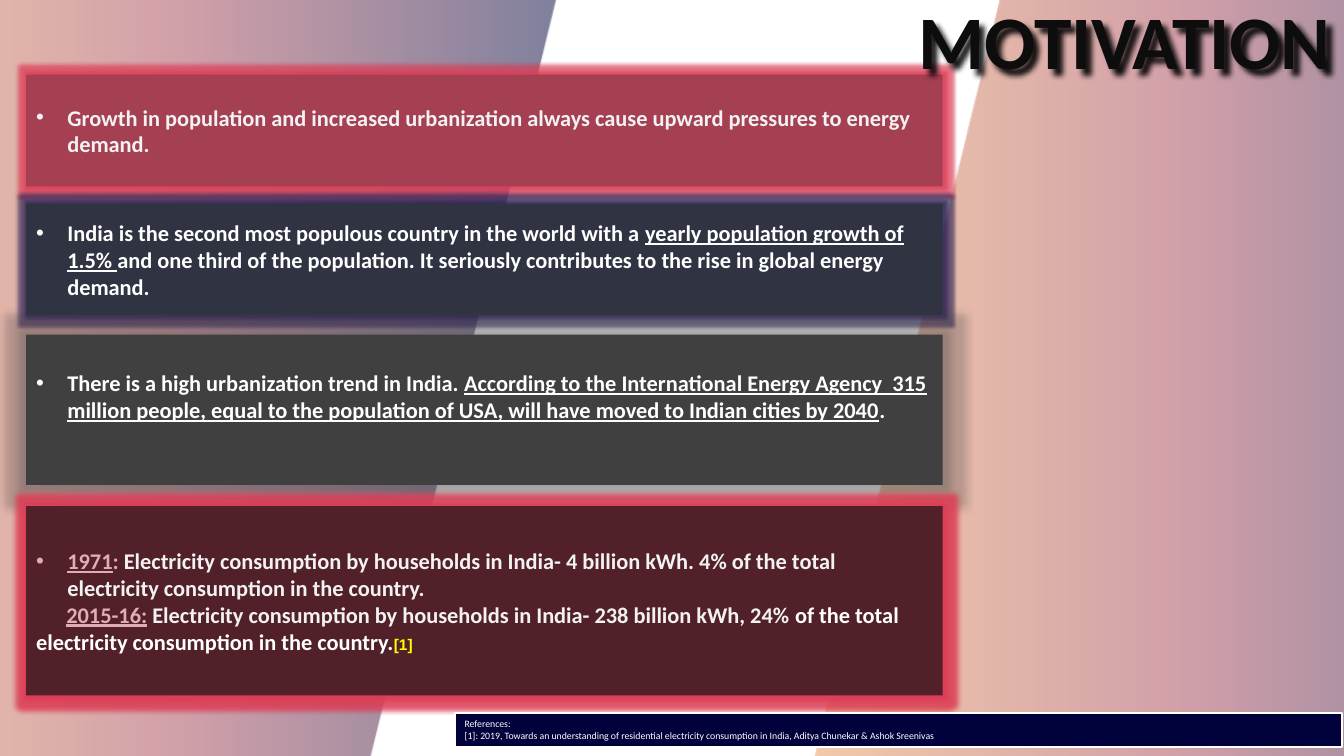
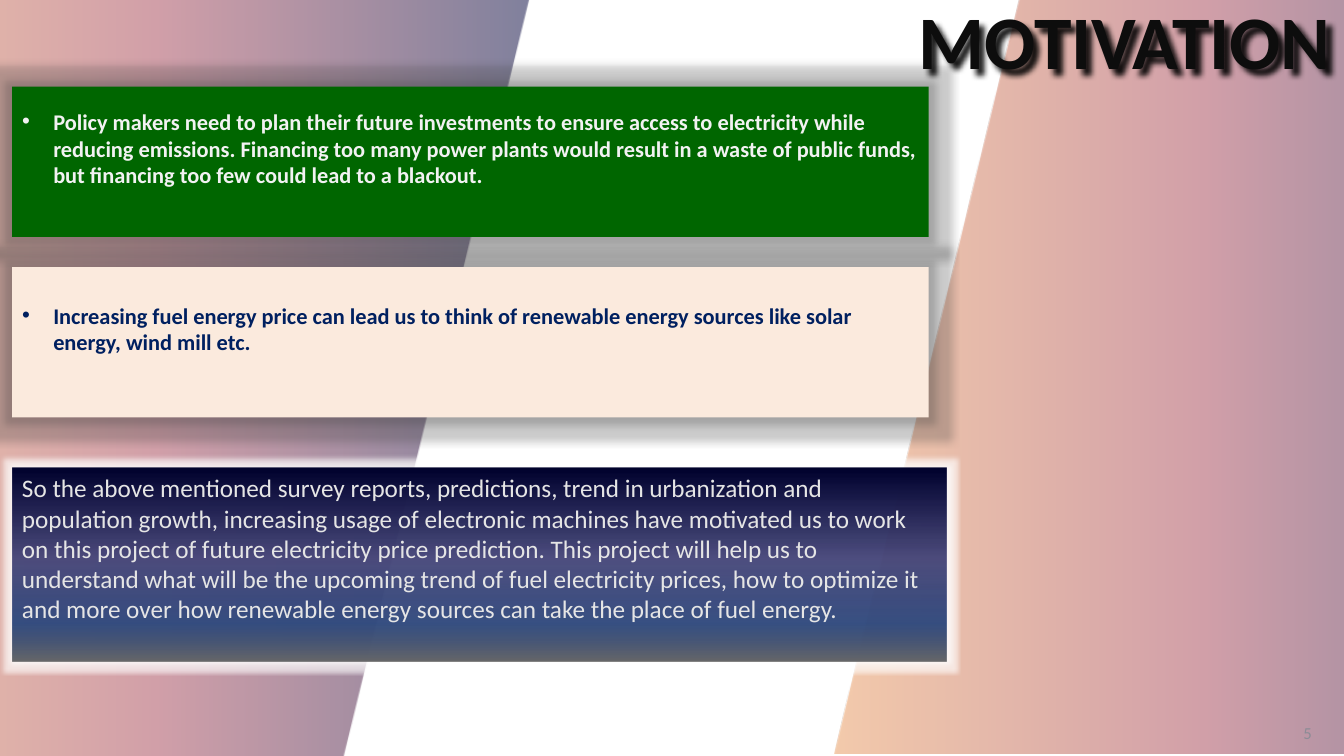
from lxml import etree
from pptx import Presentation
from pptx.dml.color import RGBColor
from pptx.enum.shapes import MSO_SHAPE
from pptx.enum.text import MSO_ANCHOR, MSO_AUTO_SIZE, PP_ALIGN
from pptx.oxml.ns import qn
from pptx.util import Inches, Pt

RECTANGLE, PARALLELOGRAM = MSO_SHAPE.RECTANGLE, MSO_SHAPE.PARALLELOGRAM
TOP, MIDDLE = MSO_ANCHOR.TOP, MSO_ANCHOR.MIDDLE
LEFT, CENTER = PP_ALIGN.LEFT, PP_ALIGN.CENTER
FIXED_SIZE = MSO_AUTO_SIZE.NONE

COLORS = {
    "white": "FFFFFF", "soft white": "F2F2F2", "pale gray": "E5E5E5",
    "black": "000000", "ink": "0D0D0D", "charcoal": "404040", "gray": "696969",
    "number": "8C8C96", "navy": "01023B", "midnight": "01022D", "indigo": "010248",
    "blue": "002060", "slate": "2F3342", "purple": "2C2153", "crimson": "A53F52",
    "wine": "522029", "rose": "E0ADB7", "orange": "E99757", "yellow": "FFFF00",
    "green": "006600", "cream": "FBEADD", "red glow": "DC3C55",
}

# Gradient stops: position, colour, opacity (percent)
BAND_STOPS = [(0, "navy", 50), (50, "crimson", 50), (100, "orange", 50)]
SUMMARY_STOPS = [(0, "midnight", 100), (47, "indigo", 69), (80, "blue", 78), (100, "gray", 100)]
BAND_SIZE = (7.38, 7.53)

# Glows: colour, radius in points, opacity
RED_GLOW = ("red glow", 5, 70)
STRONG_RED_GLOW = ("red glow", 7, 85)
PURPLE_GLOW = ("purple", 5, 65)
GRAY_GLOW = ("charcoal", 11, 27)
WHITE_GLOW = ("white", 5, 65)

TITLE = "MOTIVATION"
UNDERLINE = {"underline": True}
YEAR = {"color": "rose", "underline": True}
SOFT = {"color": "soft white"}
BULLET = {"left": 0.31, "first": -0.31, "bullet": True}
LINE_BELOW = 0.32  # bottom inset that lifts the text by half a line

SLIDES = [
    {
        "bands": [(-1.86, -0.03), (8.08, -0.01)],
        "cards": [
            {"at": (0.26, 0.74, 9.09, 1.11), "fill": "crimson", "glow": RED_GLOW,
             "color": "soft white", "paragraphs": [(BULLET, [
                 ("Growth in population and increased urbanization always cause "
                  "upward pressures to energy demand.", {})])]},
            {"at": (0.26, 2.02, 9.09, 1.11), "fill": "slate", "glow": PURPLE_GLOW,
             "paragraphs": [(BULLET, [
                 ("India is the second most populous country in the world with a ", {}),
                 ("yearly population growth of 1.5% ", UNDERLINE),
                 ("and one third of the population. It seriously contributes to the "
                  "rise in global energy demand.", {})])]},
            {"at": (0.26, 3.32, 9.09, 1.49), "fill": "charcoal", "glow": GRAY_GLOW,
             "bottom": LINE_BELOW, "paragraphs": [(BULLET, [
                 ("There is a high urbanization trend in India. ", {}),
                 ("According to the International Energy Agency  315 million people, "
                  "equal to the population of USA, will have moved to Indian cities "
                  "by 2040", UNDERLINE),
                 (".", {})])]},
            {"at": (0.26, 5.02, 9.09, 1.88), "fill": "wine", "glow": STRONG_RED_GLOW,
             "paragraphs": [
                 (BULLET, [
                     ("1971", YEAR), (":", {"color": "rose"}),
                     (" Electricity consumption by households in India- 4 billion kWh. "
                      "4% of the total electricity consumption in the country.", SOFT)]),
                 ({"first": 0.3}, [
                     ("2015-16:", YEAR),
                     (" Electricity consumption by households in India- 238 billion "
                      "kWh, 24% ", SOFT),
                     ("of the total electricity consumption in the country.", {}),
                     ("[1]", {"size": 11, "font": "Arial", "color": "yellow"})])]},
        ],
        "references": [
            "References:",
            "[1]: 2019, Towards an understanding of residential electricity consumption "
            "in India, Aditya Chunekar & Ashok Sreenivas",
        ],
    },
    {
        "bands": [(-2.13, -0.03), (8.28, -0.05)],
        "cards": [
            {"at": (0.12, 4.64, 9.27, 1.92), "stops": SUMMARY_STOPS, "glow": WHITE_GLOW,
             "color": "pale gray", "size": 18, "bold": False, "anchor": TOP,
             "paragraphs": [({}, [
                 ("So the above mentioned survey reports, predictions, trend in "
                  "urbanization and population growth, increasing usage of electronic "
                  "machines have motivated us to work on this project of future "
                  "electricity price prediction. This project will help us to understand "
                  "what will be the upcoming trend of fuel electricity prices, how to "
                  "optimize it and more over how renewable energy sources can take the "
                  "place of fuel energy.", {})])]},
            {"at": (0.12, 0.86, 9.09, 1.49), "fill": "green", "glow": GRAY_GLOW,
             "color": "soft white", "bottom": LINE_BELOW, "paragraphs": [(BULLET, [
                 ("Policy makers need to plan their future investments to ensure access "
                  "to electricity while reducing emissions. Financing too many power "
                  "plants would result in a waste of public funds, but financing too few "
                  "could lead to a blackout.", {})])]},
            {"at": (0.12, 2.65, 9.09, 1.49), "fill": "cream", "glow": GRAY_GLOW,
             "color": "blue", "bottom": LINE_BELOW, "paragraphs": [(BULLET, [
                 ("Increasing fuel energy price can lead us to think of renewable energy "
                  "sources like solar energy, wind mill etc.", {})])]},
        ],
        "number": "5",
    },
]


def rgb(name):
    return RGBColor.from_string(COLORS[name])


def inches(values):
    return [Inches(value) for value in values]


def add_xml(parent, tag, **attributes):
    element = etree.SubElement(parent, qn(tag))
    for name, value in attributes.items():
        element.set(name, str(value))
    return element


def add_color(parent, name, opacity=100):
    color = add_xml(parent, "a:srgbClr", val=COLORS[name])
    if opacity < 100:
        add_xml(color, "a:alpha", val=opacity * 1000)


def set_gradient(shape, stops, angle):
    shape.fill.background()
    properties = shape._element.spPr
    empty_fill = properties.find(qn("a:noFill"))
    gradient = etree.Element(qn("a:gradFill"), rotWithShape="1")
    stop_list = add_xml(gradient, "a:gsLst")
    for position, color, opacity in stops:
        add_color(add_xml(stop_list, "a:gs", pos=position * 1000), color, opacity)
    add_xml(gradient, "a:lin", ang=angle * 60000, scaled=0)
    properties.replace(empty_fill, gradient)


def add_effect(shape, tag, color, opacity, **attributes):
    shape.shadow.inherit = False
    effects = shape._element.spPr.find(qn("a:effectLst"))
    add_color(add_xml(effects, tag, **attributes), color, opacity)


def add_shape(page, preset, at, fill=None, stops=None, angle=90, line=None, glow=None):
    shape = page.shapes.add_shape(preset, *inches(at))
    shape.shadow.inherit = False
    if stops:
        set_gradient(shape, stops, angle)
    else:
        shape.fill.solid()
        shape.fill.fore_color.rgb = rgb(fill)
    if line:
        shape.line.color.rgb = rgb(line)
        shape.line.width = Pt(1.5)
    else:
        shape.line.fill.background()
    if glow:
        color, radius, opacity = glow
        add_effect(shape, "a:glow", color, opacity, rad=Pt(radius))
    return shape


def write(shape, paragraphs, size=16, font="Calibri", color="white", bold=True,
          align=LEFT, anchor=MIDDLE, wrap=True, bottom=0.05):
    """Fill a shape with (layout, spans) paragraphs; a span may override the format."""
    frame = shape.text_frame
    frame.word_wrap = wrap
    frame.auto_size = FIXED_SIZE
    frame.vertical_anchor = anchor
    frame.margin_bottom = Inches(bottom)
    for index, (layout, spans) in enumerate(paragraphs):
        para = frame.paragraphs[0] if index == 0 else frame.add_paragraph()
        para.alignment = align
        properties = para._p.get_or_add_pPr()
        properties.set("marL", str(Inches(layout.get("left", 0))))
        properties.set("indent", str(Inches(layout.get("first", 0))))
        if layout.get("bullet"):
            add_xml(properties, "a:buFont", typeface="Arial")
            add_xml(properties, "a:buChar", char="•")
        for text, style in spans:
            span = para.add_run()
            span.text = text
            span.font.name = style.get("font", font)
            span.font.size = Pt(style.get("size", size))
            span.font.bold = bold
            span.font.color.rgb = rgb(style.get("color", color))
            if style.get("underline"):
                span.font.underline = True


def add_title(page):
    title = page.shapes.title
    title.left, title.top, title.width, title.height = inches((8.99, -0.11, 4.33, 1.01))
    title.fill.background()
    write(title, [({}, [(TITLE, {})])], size=54, color="ink", align=CENTER,
          anchor=TOP, wrap=False)
    add_effect(title, "a:outerShdw", "black", 90, blurRad=Pt(4), dist=Pt(5),
               dir=45 * 60000, algn="tl", rotWithShape=0)
    outline = etree.Element(qn("a:ln"), w=str(Pt(1.06)))
    add_color(add_xml(outline, "a:solidFill"), "white")
    title.text_frame.paragraphs[0].runs[0].font._element.insert(0, outline)
    page.shapes.element.append(title._element)


def add_card(page, at, paragraphs, glow, fill=None, stops=None, **text_format):
    card = add_shape(page, RECTANGLE, at, fill=fill, stops=stops, glow=glow)
    write(card, paragraphs, **text_format)


def add_page(page, content):
    for corner in content["bands"]:
        add_shape(page, PARALLELOGRAM, corner + BAND_SIZE, stops=BAND_STOPS, angle=180)
    for card in content["cards"]:
        add_card(page, **card)
    add_title(page)
    if "references" in content:
        box = add_shape(page, RECTANGLE, (4.51, 7.07, 8.8, 0.34), fill="navy", line="white")
        write(box, [({}, [(text, {})]) for text in content["references"]],
              size=7, bold=False, anchor=TOP)
    if "number" in content:
        box = page.shapes.add_textbox(*inches((12.72, 7.07, 0.5, 0.4)))
        write(box, [({}, [(content["number"], {})])], size=12, color="number",
              bold=False, align=CENTER)


def main():
    deck = Presentation()
    deck.slide_width, deck.slide_height = inches((13.33, 7.5))
    layout = deck.slide_layouts.get_by_name("Title Only")
    for content in SLIDES:
        add_page(deck.slides.add_slide(layout), content)
    deck.save("out.pptx")


if __name__ == "__main__":
    main()
